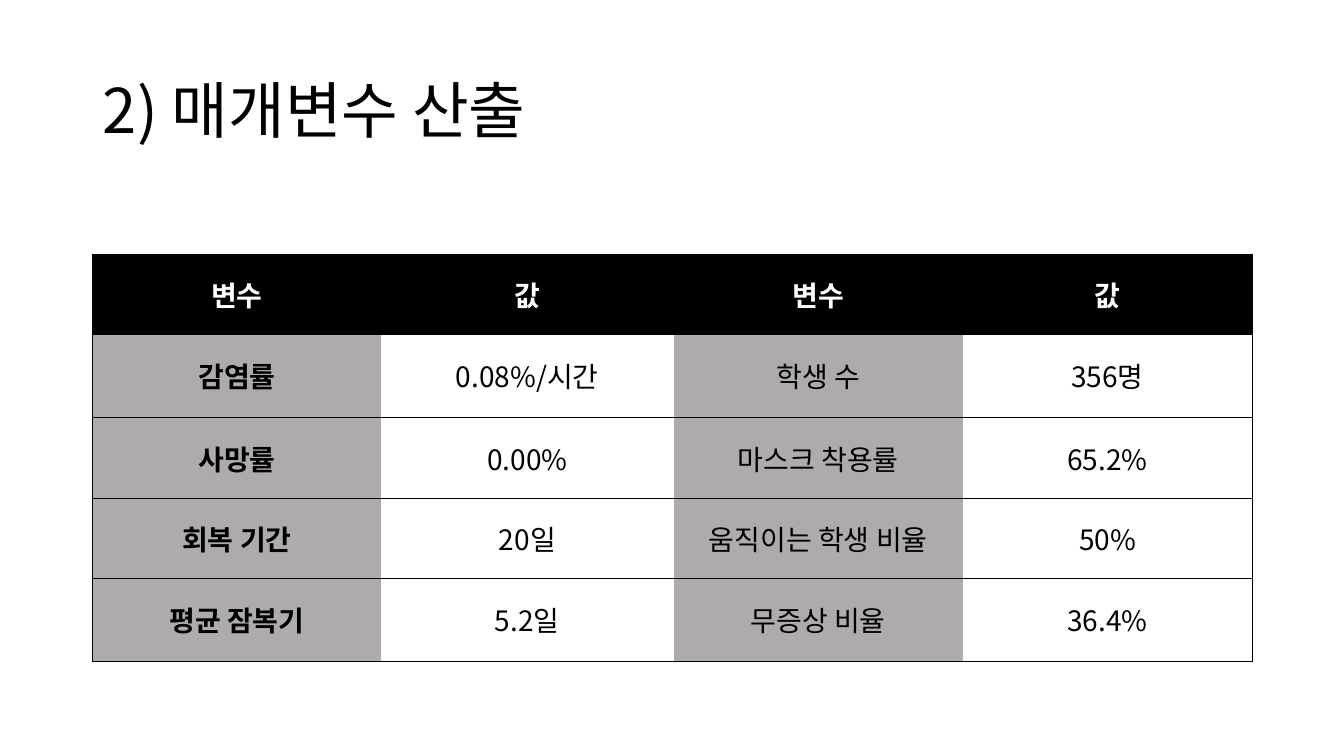
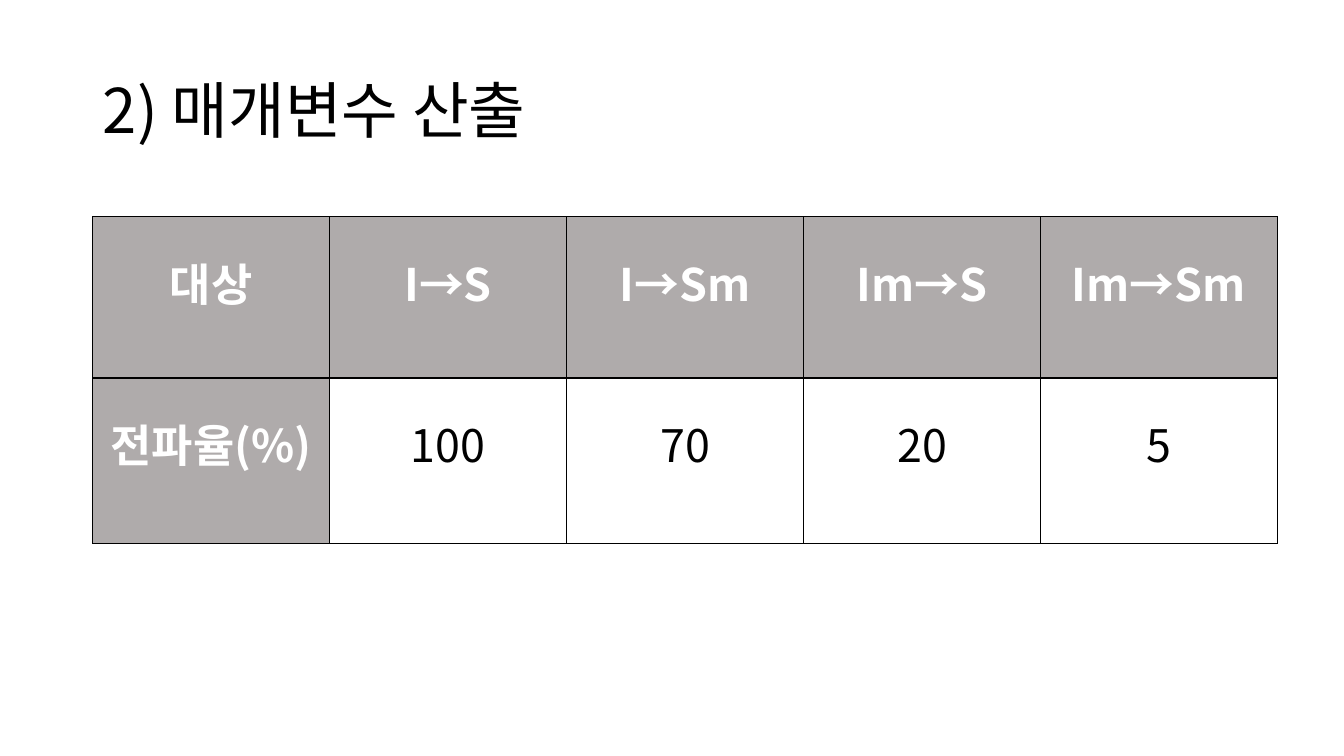
"""Build two slides that tabulate the parameters of an infection model."""
from lxml.etree import SubElement
from pptx import Presentation
from pptx.dml.color import RGBColor
from pptx.enum.text import MSO_ANCHOR, MSO_AUTO_SIZE, PP_ALIGN
from pptx.oxml.ns import qn
from pptx.util import Inches, Pt

FONT = "Noto Sans CJK KR"
BLACK, WHITE, GRAY = "000000", "FFFFFF", "AFABAB"
TITLE = "2) 매개변수 산출"
LEFT = 0.92

PARAMETERS = [
    ["변수", "값", "변수", "값"],
    ["감염률", "0.08%/시간", "학생 수", "356명"],
    ["사망률", "0.00%", "마스크 착용률", "65.2%"],
    ["회복 기간", "20일", "움직이는 학생 비율", "50%"],
    ["평균 잠복기", "5.2일", "무증상 비율", "36.4%"],
]
TRANSMISSION = [
    ["대상", "I→S", "I→Sm", "Im→S", "Im→Sm"],
    ["전파율(%)", "100", "70", "20", "5"],
]


def color(value):
    """Turn a hex string into a colour."""
    return RGBColor.from_string(value)


def write(frame, text, size, ink=BLACK, bold=False, align=PP_ALIGN.LEFT, spacing=1.0):
    """Put one formatted paragraph into a text frame."""
    para = frame.paragraphs[0]
    para.alignment = align
    para.line_spacing = spacing
    span = para.add_run()
    span.text = text
    span.font.size = Pt(size)
    span.font.bold = bold
    span.font.color.rgb = color(ink)
    span.font.name = FONT
    SubElement(span.font._element, qn("a:ea"), typeface=FONT)


def add_page(deck):
    """Add a slide with the shared title."""
    page = deck.slides.add_slide(deck.slide_layouts.get_by_name("Title Only"))
    title = page.shapes.title
    title.left, title.top = Inches(LEFT), Inches(0.4)
    title.width, title.height = Inches(11.5), Inches(1.45)
    title.text_frame.vertical_anchor = MSO_ANCHOR.MIDDLE
    title.text_frame.auto_size = MSO_AUTO_SIZE.NONE
    write(title.text_frame, TITLE, 44, spacing=0.9)
    return page


def set_borders(cell, sides, width):
    """Draw black lines on the given sides of a cell and clear the others."""
    properties = cell._tc.get_or_add_tcPr()
    for side in "LRTB":
        line = SubElement(properties, qn(f"a:ln{side}"), w=str(Pt(width)))
        if side in sides:
            fill = SubElement(line, qn("a:solidFill"))
            SubElement(fill, qn("a:srgbClr"), val=BLACK)
        else:
            SubElement(line, qn("a:noFill"))


def add_grid(page, rows, top, widths, heights, size, line_width, style):
    """Add a table whose cells take fill, ink, weight and borders from style."""
    table = page.shapes.add_table(
        len(rows), len(widths), Inches(LEFT), Inches(top),
        Inches(sum(widths)), Inches(sum(heights))).table
    table.first_row = table.horz_banding = False
    for column, width in zip(table.columns, widths):
        column.width = Inches(width)
    for row, height in zip(table.rows, heights):
        row.height = Inches(height)
    for r, texts in enumerate(rows):
        for c, text in enumerate(texts):
            cell = table.cell(r, c)
            fill, ink, bold, sides = style(r, c)
            cell.margin_left = cell.margin_right = Inches(0.07)
            cell.margin_top = cell.margin_bottom = 0
            set_borders(cell, sides, line_width)
            cell.fill.solid()
            cell.fill.fore_color.rgb = color(fill)
            write(cell.text_frame, text, size, ink, bold, PP_ALIGN.CENTER, 1.5)


def parameter_style(r, c):
    """Style the parameter table: black header, gray names, open columns."""
    sides = "TB" + {0: "L", 3: "R"}.get(c, "")
    if r == 0:
        return BLACK, WHITE, True, sides
    return (WHITE if c % 2 else GRAY), BLACK, c == 0, sides


def transmission_style(r, c):
    """Style the transmission table: gray labels in a full grid."""
    label = r == 0 or c == 0
    return (GRAY, WHITE, True, "LRTB") if label else (WHITE, BLACK, False, "LRTB")


def main():
    """Build and save the deck."""
    deck = Presentation()
    deck.slide_width, deck.slide_height = Inches(13.33), Inches(7.5)
    add_grid(add_page(deck), PARAMETERS, 2.52, [2.86, 2.9, 2.87, 2.87],
             [0.8, 0.82, 0.8, 0.8, 0.82], 20, 0.5, parameter_style)
    add_grid(add_page(deck), TRANSMISSION, 2.15, [2.35] * 5,
             [1.6, 1.64], 32, 1, transmission_style)
    deck.save("out.pptx")


if __name__ == "__main__":
    main()
